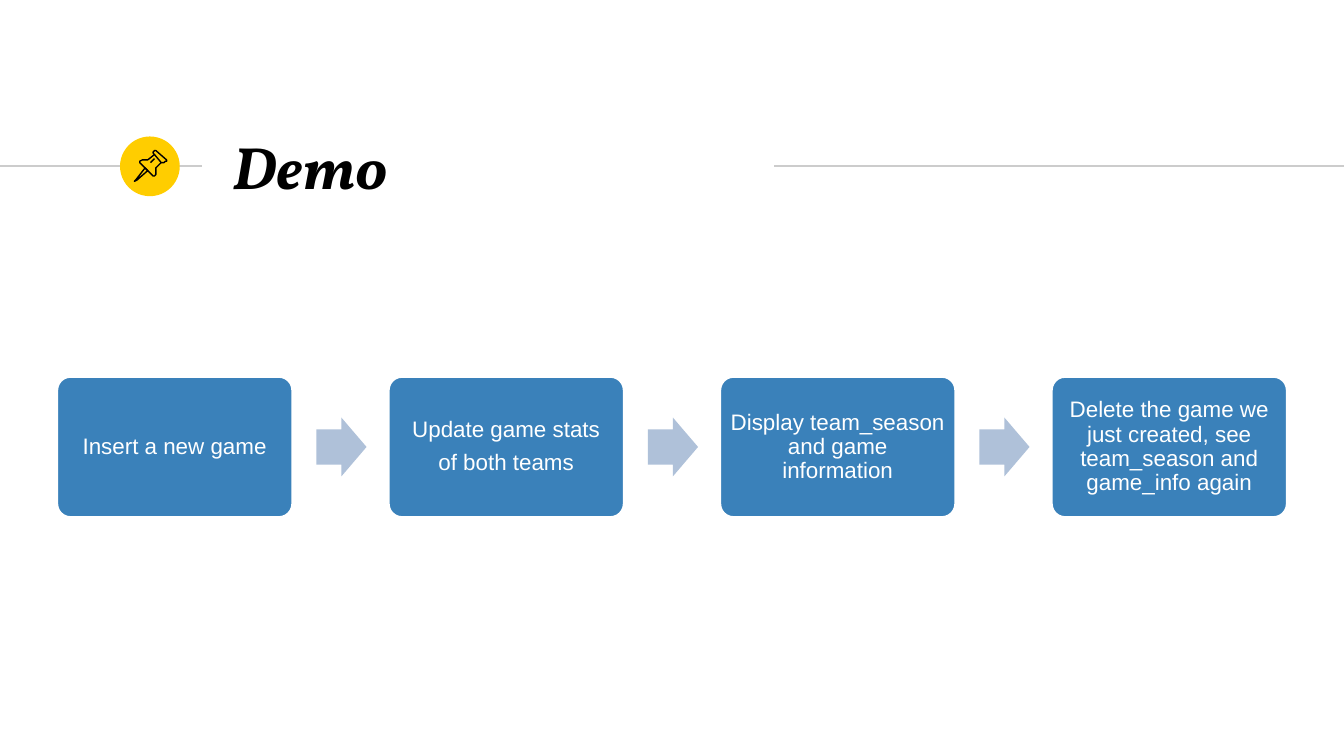
from lxml.etree import SubElement
from pptx import Presentation
from pptx.dml.color import RGBColor
from pptx.enum.shapes import MSO_CONNECTOR as Connector, MSO_SHAPE as Shape
from pptx.enum.text import MSO_ANCHOR as Anchor, PP_ALIGN as Align
from pptx.oxml.ns import qn
from pptx.util import Pt

BLACK = RGBColor(0x00, 0x00, 0x00)
WHITE = RGBColor(0xFF, 0xFF, 0xFF)
GREY = RGBColor(0xCC, 0xCC, 0xCC)
YELLOW = RGBColor(0xFF, 0xCD, 0x00)
BLUE = RGBColor(0x3A, 0x81, 0xBA)
PALE_BLUE = RGBColor(0xAF, 0xC1, 0xD9)

TITLE = "Demo"
STEPS = [
    "Insert a new game",
    "Update game stats\nof both teams",
    "Display team_season and game information",
    "Delete the game we just created, see team_season and game_info again",
]

SLIDE_W, SLIDE_H = 720, 405
RULE_Y = 89
RULES = [(0, 108), (414.7, SLIDE_W)]
BADGE = (64.3, 73.1, 32, 32)
TITLE_BOX = (117.4, 71.3, 485.3, 34.6)

STEP_W, STEP_H, STEP_PITCH = 126.9, 76.1, 177.6
STEP_LEFT = (SLIDE_W - 3 * STEP_PITCH - STEP_W) / 2
STEP_TOP = 201.4
ARROW_W, ARROW_H = 26.9, 31.5
ARROW_OFFSET = 139.3

# Pushpin outlines in units of PIN_UNIT points: (points, closed)
PIN_UNIT = 0.72
PIN = [
    ([(108, 125), (101, 134), (100, 135), (102, 134), (110, 127)], True),
    ([(115, 115), (120, 121), (122, 121), (123, 120), (124, 120), (124, 119),
      (116, 112), (115, 112), (114, 113), (114, 114)], True),
    ([(115, 115), (110, 119), (108, 119), (106, 119), (104, 120), (104, 121),
      (114, 131), (115, 131), (116, 130), (116, 128), (116, 125), (120, 121)],
     False),
    ([(112, 121), (115, 118)], False),
]


def add_rule(page, start, end):
    """Draw a thin grey horizontal line."""
    rule = page.shapes.add_connector(
        Connector.STRAIGHT, Pt(start), Pt(RULE_Y), Pt(end), Pt(RULE_Y))
    rule.line.color.rgb = GREY
    rule.line.width = Pt(0.75)
    SubElement(rule._element.spPr, qn("a:effectLst"))


def add_solid(page, kind, frame, fill, adjustments=()):
    """Add a filled preset shape without outline or shadow."""
    shape = page.shapes.add_shape(kind, *map(Pt, frame))
    shape.shadow.inherit = False
    shape.fill.solid()
    shape.fill.fore_color.rgb = fill
    shape.line.fill.background()
    for index, value in enumerate(adjustments):
        shape.adjustments[index] = value
    return shape


def set_text(shape, text, inset, font_name, size, color):
    """Write middle-anchored text in one font and return its paragraphs."""
    frame = shape.text_frame
    frame.word_wrap = True
    frame.vertical_anchor = Anchor.MIDDLE
    frame.margin_left = frame.margin_right = Pt(inset)
    frame.margin_top = frame.margin_bottom = Pt(inset)
    frame.text = text
    for para in frame.paragraphs:
        for span in para.runs:
            span.font.name = font_name
            span.font.size = Pt(size)
            span.font.color.rgb = color
    return frame.paragraphs


def add_pin(page):
    """Draw the pushpin outlines on the badge."""
    for points, closed in PIN:
        builder = page.shapes.build_freeform(*points[0], scale=Pt(PIN_UNIT))
        builder.add_line_segments(points[1:], close=closed)
        stroke = builder.convert_to_shape()
        stroke.shadow.inherit = False
        stroke.fill.background()
        stroke.line.color.rgb = BLACK
        stroke.line.width = Pt(0.75)


def add_title(page):
    """Add the slide title."""
    box = page.shapes.add_textbox(*map(Pt, TITLE_BOX))
    font = set_text(box, TITLE, 7.2, "Vollkorn", 32, BLACK)[0].runs[0].font
    font.bold = font.italic = True


def add_step(page, left, text):
    """Add one rounded process step."""
    step = add_solid(page, Shape.ROUNDED_RECTANGLE,
                     (left, STEP_TOP, STEP_W, STEP_H), BLUE, [0.1])
    step.line.color.rgb = WHITE
    step.line.width = Pt(2)
    for para in set_text(step, text, 3.6, "Arial", 12, WHITE):
        para.alignment = Align.CENTER
        para.line_spacing = 0.9
        para.space_after = Pt(4.8)


deck = Presentation()
deck.slide_width, deck.slide_height = Pt(SLIDE_W), Pt(SLIDE_H)
page = deck.slides.add_slide(deck.slide_layouts[6])

for start, end in RULES:
    add_rule(page, start, end)
add_solid(page, Shape.OVAL, BADGE, YELLOW)
add_pin(page)
add_title(page)

arrow_top = STEP_TOP + (STEP_H - ARROW_H) / 2
for number, text in enumerate(STEPS):
    left = STEP_LEFT + number * STEP_PITCH
    add_step(page, left, text)
    if number < len(STEPS) - 1:
        add_solid(page, Shape.RIGHT_ARROW,
                  (left + ARROW_OFFSET, arrow_top, ARROW_W, ARROW_H),
                  PALE_BLUE, [0.6, 0.5])

deck.save("out.pptx")
